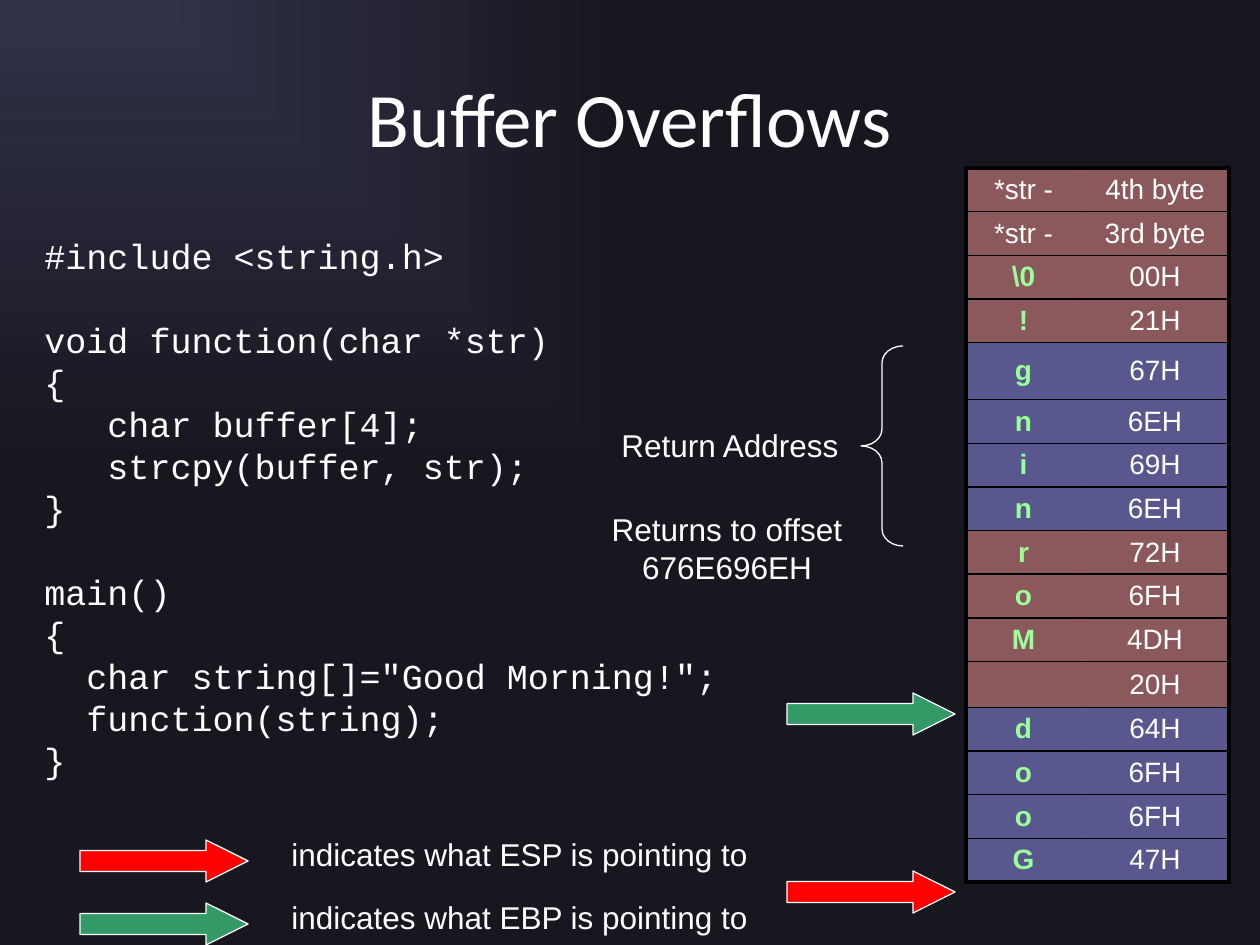
from dataclasses import dataclass

from lxml import etree
from pptx import Presentation
from pptx.dml.color import RGBColor
from pptx.enum.shapes import MSO_SHAPE
from pptx.enum.text import MSO_ANCHOR, PP_ALIGN
from pptx.oxml.ns import qn
from pptx.util import Emu, Pt

ARROW, BRACE = MSO_SHAPE.RIGHT_ARROW, MSO_SHAPE.LEFT_BRACE
LEFT, CENTER = PP_ALIGN.LEFT, PP_ALIGN.CENTER
TOP, MIDDLE = MSO_ANCHOR.TOP, MSO_ANCHOR.MIDDLE
TITLE_ONLY = 5
PX_PER_INCH = 126


@dataclass(frozen=True)
class Theme:
    glow: str = "313149"
    night: str = "171720"
    text: str = "FFFFFF"
    letter: str = "99FF99"
    rose: str = "FF9999"
    violet: str = "9999FF"
    border: str = "000000"
    esp: str = "FF0000"
    ebp: str = "339966"
    title_font: str = "Calibri"
    label_font: str = "Arial"
    code_font: str = "Courier New"
    title_size: int = 44
    code_size: int = 20
    label_size: int = 18
    cell_size: int = 16
    code_line: int = 24
    outline: float = 0.75
    frame: float = 2.25
    rule: float = 1


THEME = Theme()

# Each block of code is set off by one line of space
CODE_BLOCKS = [
    ["#include <string.h>"],
    ["void function(char *str)", "{", "   char buffer[4];",
     "   strcpy(buffer, str);", "}"],
    ["main()", "{", '  char string[]="Good Morning!";',
     "  function(string);", "}"],
]

# Stack from high to low addresses, in groups of four bytes
STACK_GROUPS = [
    (THEME.rose, [("*str -", "4th byte"), ("*str -", "3rd byte"),
                  ("\\0", "00H"), ("!", "21H")]),
    (THEME.violet, [("g", "67H"), ("n", "6EH"), ("i", "69H"), ("n", "6EH")]),
    (THEME.rose, [("r", "72H"), ("o", "6FH"), ("M", "4DH"), ("", "20H")]),
    (THEME.violet, [("d", "64H"), ("o", "6FH"), ("o", "6FH"), ("G", "47H")]),
]


def px(length):
    return Emu(round(length * 914400 / PX_PER_INCH))


def rgb(color):
    return RGBColor.from_string(color)


def write(frame, lines, font=THEME.label_font, size=THEME.label_size,
          color=THEME.text, bold=False, align=LEFT, anchor=TOP, wrap=True,
          line_height=None, gaps=None):
    """Fill a text frame; gaps maps a line's index to the points above it."""
    frame.word_wrap = wrap
    frame.vertical_anchor = anchor
    for index, line in enumerate(lines):
        paragraph = frame.paragraphs[0] if index == 0 else frame.add_paragraph()
        paragraph.alignment = align
        if line_height:
            paragraph.line_spacing = Pt(line_height)
        if gaps and index in gaps:
            paragraph.space_before = Pt(gaps[index])
        run = paragraph.add_run()
        run.text = line
        run.font.name, run.font.size, run.font.bold = font, Pt(size), bold
        run.font.color.rgb = rgb(color)


def add_text(slide, box, lines, **text_format):
    textbox = slide.shapes.add_textbox(*map(px, box))
    write(textbox.text_frame, lines, **text_format)


def add_outlined(slide, kind, box, adjustments, color=None):
    shape = slide.shapes.add_shape(kind, *map(px, box))
    shape.shadow.inherit = False
    for index, value in enumerate(adjustments):
        shape.adjustments[index] = value
    if color:
        shape.fill.solid()
        shape.fill.fore_color.rgb = rgb(color)
    else:
        shape.fill.background()
    shape.line.color.rgb = rgb(THEME.text)
    shape.line.width = Pt(THEME.outline)


def add_pointer(slide, left, top, color):
    add_outlined(slide, ARROW, (left, top, 168, 42), (0.5, 1), color)


def paint_background(slide):
    """Glow that fades in rectangles from the top left corner."""
    fill = slide.background.fill
    fill.gradient()
    for stop, color in zip(fill.gradient_stops, (THEME.glow, THEME.night)):
        stop.color.rgb = rgb(color)
    gradient = next(slide.element.iter(qn("a:gradFill")))
    linear = gradient.find(qn("a:lin"))
    glow = etree.Element(qn("a:path"), path="rect")
    etree.SubElement(glow, qn("a:fillToRect"), r="100000", b="100000")
    gradient.replace(linear, glow)


def add_title(slide, box):
    title = slide.shapes.title
    title.left, title.top, title.width, title.height = map(px, box)
    write(title.text_frame, ["Buffer Overflows"], font=THEME.title_font,
          size=THEME.title_size, align=CENTER, anchor=MIDDLE)


def add_code(slide, box):
    lines, gaps = [], {}
    for block in CODE_BLOCKS:
        if lines:
            gaps[len(lines)] = THEME.code_line
        lines += block
    add_text(slide, box, lines, font=THEME.code_font, size=THEME.code_size,
             line_height=THEME.code_line, gaps=gaps)


def style_cell(cell, color, borders):
    """Half-transparent fill; borders maps a side to its width, 0 for none."""
    cell.fill.solid()
    cell.fill.fore_color.rgb = rgb(color)
    properties = cell.fill._xPr
    etree.SubElement(next(properties.iter(qn("a:srgbClr"))),
                     qn("a:alpha"), val="50000")
    for position, side in enumerate("LRTB"):
        width = borders[side]
        line = etree.Element(qn(f"a:ln{side}"), w=str(Pt(width)))
        if width:
            solid = etree.SubElement(line, qn("a:solidFill"))
            etree.SubElement(solid, qn("a:srgbClr"), val=THEME.border)
        else:
            etree.SubElement(line, qn("a:noFill"))
        properties.insert(position, line)


def add_stack(slide, box):
    left, top, width, height = box
    rows = [(color, pair) for color, pairs in STACK_GROUPS for pair in pairs]
    last, tall_row, tall_height = len(rows) - 1, 4, 57
    stack = slide.shapes.add_table(len(rows), 2, *map(px, box)).table
    stack.first_row = stack.horz_banding = False
    stack.columns[0].width, stack.columns[1].width = px(115), px(width - 115)
    for index, (color, pair) in enumerate(rows):
        stack.rows[index].height = px(
            tall_height if index == tall_row else (height - tall_height) / last)
        for column, value in enumerate(pair):
            cell = stack.cell(index, column)
            cell.margin_top = cell.margin_bottom = px(4)
            is_letter = len(value) < 3
            write(cell.text_frame, [value] if value else [],
                  size=THEME.cell_size, align=CENTER, bold=is_letter,
                  color=THEME.letter if is_letter else THEME.text)
            cell.vertical_anchor = MIDDLE
            style_cell(cell, color, {
                "L": 0 if column else THEME.frame,
                "R": THEME.frame if column else 0,
                "T": THEME.rule if index else THEME.frame,
                "B": THEME.frame if index == last else THEME.rule})


def add_return_address(slide, box):
    left, top, width, height = box
    add_outlined(slide, BRACE, (left + width - 42, top, 42, height), (0.4, 0.5))
    add_text(slide, (left + 10, top + 74, 244, 50), ["Return Address"])
    add_text(slide, (left, top + 158, 256, 88),
             ["Returns to offset", "676E696EH"], align=CENTER)


def add_legend(slide, box):
    left, top, width, height = box
    for index, (register, color) in enumerate(
            (("ESP", THEME.esp), ("EBP", THEME.ebp))):
        row_top = top + index * 63
        add_pointer(slide, left, row_top + 11, color)
        add_text(slide, (left + 199, row_top, width - 199, 50),
                 [f"indicates what {register} is pointing to"])


def main():
    deck = Presentation()
    deck.slide_width, deck.slide_height = px(1260), px(945)
    slide = deck.slides.add_slide(deck.slide_layouts[TITLE_ONLY])
    paint_background(slide)
    add_code(slide, (32, 228, 777, 564))
    add_title(slide, (63, 38, 1134, 157))
    add_stack(slide, (966, 168, 263, 712))
    # Where the two registers point in the stack
    add_pointer(slide, 787, 871, THEME.esp)
    add_pointer(slide, 787, 693, THEME.ebp)
    add_return_address(slide, (599, 346, 304, 200))
    add_legend(slide, (80, 829, 703, 116))
    deck.save("out.pptx")


if __name__ == "__main__":
    main()
